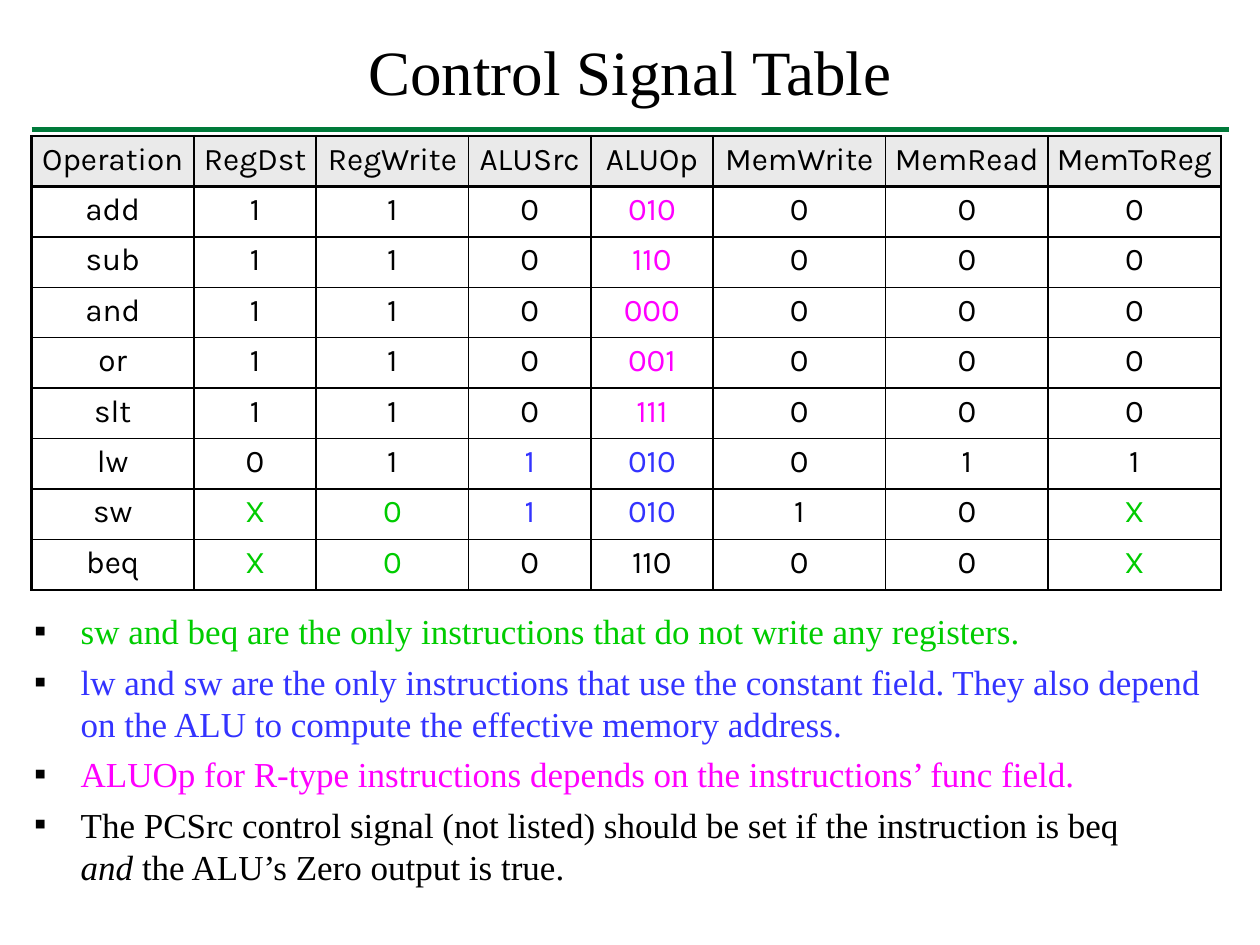
"""Build the control signal table slide."""
from dataclasses import dataclass

from lxml.etree import SubElement
from pptx import Presentation
from pptx.dml.color import RGBColor
from pptx.enum.shapes import MSO_CONNECTOR
from pptx.enum.text import MSO_ANCHOR, MSO_AUTO_SIZE, PP_ALIGN
from pptx.oxml.ns import qn
from pptx.util import Emu, Pt

EMU_PER_PX = 9144


def px(length):
    """Turn px, a hundred to the inch, into EMU."""
    return Emu(length * EMU_PER_PX)


@dataclass(frozen=True)
class Theme:
    """Colours, fonts and sizes of the slide."""
    ink: str = "000000"
    rule: str = "007A3A"
    header: str = "EAEAEA"
    green: str = "00CC00"
    blue: str = "3333FF"
    magenta: str = "FF00FF"
    text_font: str = "Times New Roman"
    table_font: str = "Karla"
    title_size: int = 36
    list_size: int = 20
    table_size: int = 18
    outer_line: float = 1.5
    inner_line: float = 1


class SlideBuilder:
    """Hold the theme and the current slide."""

    def __init__(self, page, theme):
        """Keep the page and its style."""
        self.page = page
        self.theme = theme

    def style(self, para, name, size, color):
        """Set the font of a whole paragraph."""
        para.font.name = name
        para.font.size = Pt(size)
        para.font.color.rgb = RGBColor.from_string(color)

    def frame(self, box, bounds, inset_top):
        """Place a placeholder and return its plain text frame."""
        box.left, box.top, box.width, box.height = map(px, bounds)
        frame = box.text_frame
        frame.word_wrap = True
        frame.auto_size = MSO_AUTO_SIZE.NONE
        frame.vertical_anchor = MSO_ANCHOR.TOP
        frame.margin_left = frame.margin_right = frame.margin_bottom = 0
        frame.margin_top = px(inset_top)
        return frame

    def title(self, text, bounds):
        """Fill the title placeholder."""
        frame = self.frame(self.page.shapes.title, bounds, 1)
        frame.text = text
        para = frame.paragraphs[0]
        para.alignment = PP_ALIGN.CENTER
        self.style(para, self.theme.text_font, self.theme.title_size, self.theme.ink)

    def rule(self, left, top, width):
        """Draw a horizontal line."""
        line = self.page.shapes.add_connector(
            MSO_CONNECTOR.STRAIGHT, px(left), px(top), px(left + width), px(top))
        line.line.color.rgb = RGBColor.from_string(self.theme.rule)
        line.line.width = Pt(3)
        SubElement(line._element.spPr, qn("a:effectLst"))

    def bullet(self, para, marked):
        """Indent a list paragraph and give it a square or no mark."""
        properties = para._p.get_or_add_pPr()
        properties.set("marL", str(px(39)))
        properties.set("indent", str(px(-37 if marked else 0)))
        if not marked:
            SubElement(properties, qn("a:buNone"))
            return
        color = SubElement(properties, qn("a:buClr"))
        SubElement(color, qn("a:srgbClr"), val=self.theme.ink)
        SubElement(properties, qn("a:buFont"), typeface=self.theme.text_font)
        SubElement(properties, qn("a:buChar"), char="▪")

    def bullets(self, items, bounds):
        """Fill the body placeholder with (marked, colour, spans) items."""
        frame = self.frame(self.page.placeholders[1], bounds, 8)
        for index, (marked, color, spans) in enumerate(items):
            para = frame.add_paragraph() if index else frame.paragraphs[0]
            self.bullet(para, marked)
            para.space_before = Pt(4.8 if index and marked else 0)
            self.style(para, self.theme.text_font, self.theme.list_size, color)
            for text, italic in spans:
                span = para.add_run()
                span.text = text
                if italic:
                    span.font.italic = True

    def border(self, cell, side, width):
        """Draw one side of a cell."""
        line = SubElement(cell._tc.get_or_add_tcPr(), qn(f"a:ln{side}"), w=str(Pt(width)))
        fill = SubElement(line, qn("a:solidFill"))
        SubElement(fill, qn("a:srgbClr"), val=self.theme.ink)

    def cell(self, cell, text, color, heavy_sides, is_header):
        """Write and format one table cell."""
        for side in "LRTB":
            heavy = side in heavy_sides
            self.border(cell, side, self.theme.outer_line if heavy else self.theme.inner_line)
        if is_header:
            cell.fill.solid()
            cell.fill.fore_color.rgb = RGBColor.from_string(self.theme.header)
        else:
            cell.fill.background()
        cell.margin_left = cell.margin_right = cell.margin_bottom = 0
        cell.margin_top = px(4)
        cell.text = text
        para = cell.text_frame.paragraphs[0]
        para.alignment = PP_ALIGN.CENTER
        self.style(para, self.theme.table_font, self.theme.table_size, color)

    def table(self, rows, left, top, widths, row_height, color_of):
        """Add a grid with a heavier frame and header line."""
        table = self.page.shapes.add_table(
            len(rows), len(widths), px(left), px(top),
            px(sum(widths)), px(row_height * len(rows))).table
        table.first_row = table.horz_banding = False
        for column, width in zip(table.columns, widths):
            column.width = px(width)
        for r, row in enumerate(rows):
            table.rows[r].height = px(row_height)
            for c, text in enumerate(row):
                heavy = {"L": c == 0, "R": c == len(row) - 1,
                         "T": r <= 1, "B": r in (0, len(rows) - 1)}
                sides = [side for side, is_heavy in heavy.items() if is_heavy]
                self.cell(table.cell(r, c), text, color_of(row[0], rows[0][c], text), sides, r == 0)


THEME = Theme()

SIGNALS = [line.split() for line in (
    "Operation RegDst RegWrite ALUSrc ALUOp MemWrite MemRead MemToReg",
    "add 1 1 0 010 0 0 0",
    "sub 1 1 0 110 0 0 0",
    "and 1 1 0 000 0 0 0",
    "or 1 1 0 001 0 0 0",
    "slt 1 1 0 111 0 0 0",
    "lw 0 1 1 010 0 1 1",
    "sw X 0 1 010 1 0 X",
    "beq X 0 0 110 0 0 X",
)]

NOTES = [
    (True, THEME.green,
     [("sw and beq are the only instructions that do not write any registers.", False)]),
    (True, THEME.blue,
     [("lw and sw are the only instructions that use the constant field. They also depend "
       "on the ALU to compute the effective memory address.", False)]),
    (True, THEME.magenta,
     [("ALUOp for R-type instructions depends on the instructions’ func field.", False)]),
    (True, THEME.ink,
     [("The PCSrc control signal (not listed) should be set if the instruction is beq", False)]),
    (False, THEME.ink, [("and ", True), ("the ALU’s Zero output is true.", False)]),
]


def signal_color(operation, signal, value):
    """Match each signal value to the note that explains it."""
    if value == "X" or (signal == "RegWrite" and value == "0"):
        return THEME.green
    if operation in ("lw", "sw") and signal in ("ALUSrc", "ALUOp"):
        return THEME.blue
    if operation in ("add", "sub", "and", "or", "slt") and signal == "ALUOp":
        return THEME.magenta
    return THEME.ink


def main():
    """Build and save the deck."""
    deck = Presentation()
    deck.slide_width, deck.slide_height = px(1000), px(750)
    page = deck.slides.add_slide(deck.slide_layouts[1])
    builder = SlideBuilder(page, THEME)
    builder.title("Control Signal Table", (25, 25, 950, 62))
    builder.rule(25, 103, 950)
    builder.table(SIGNALS, 25, 108, (129, 97, 121, 97, 97, 137, 129, 137), 40, signal_color)
    builder.bullets(NOTES, (25, 476, 942, 230))
    deck.save("out.pptx")


if __name__ == "__main__":
    main()
